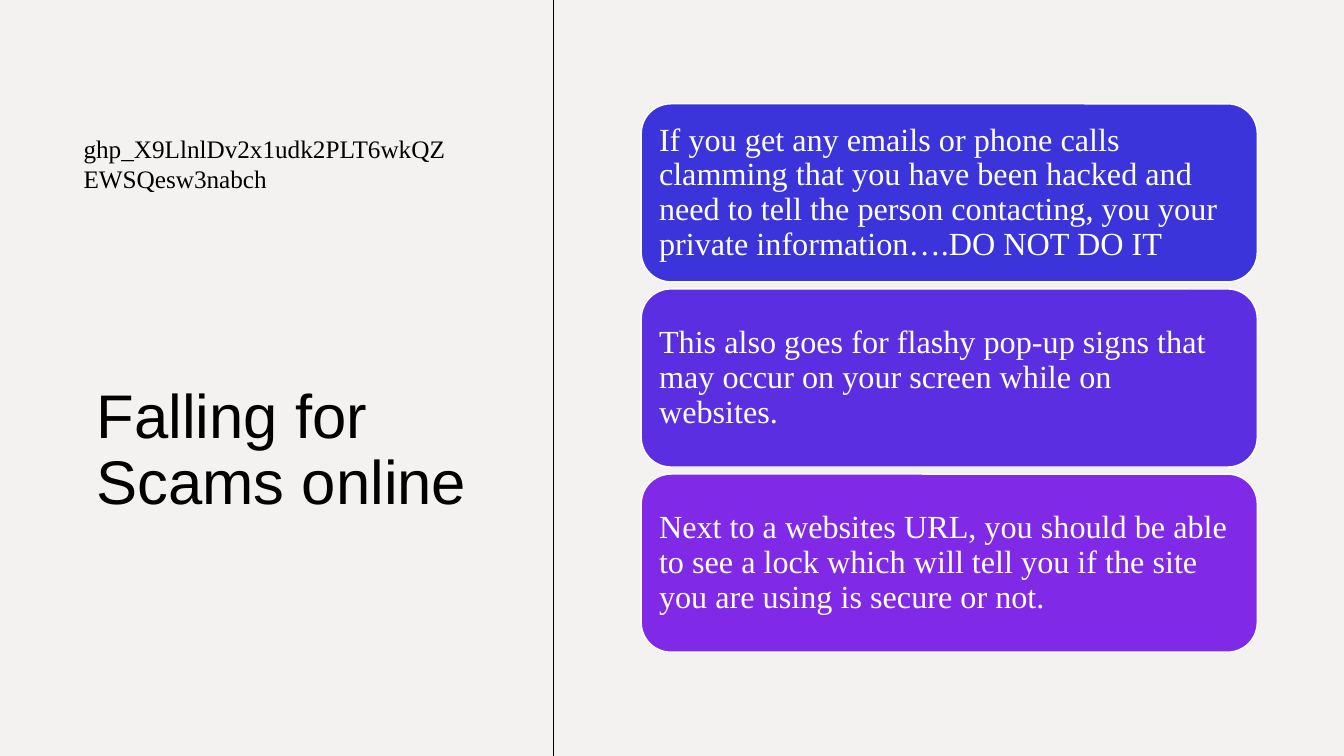
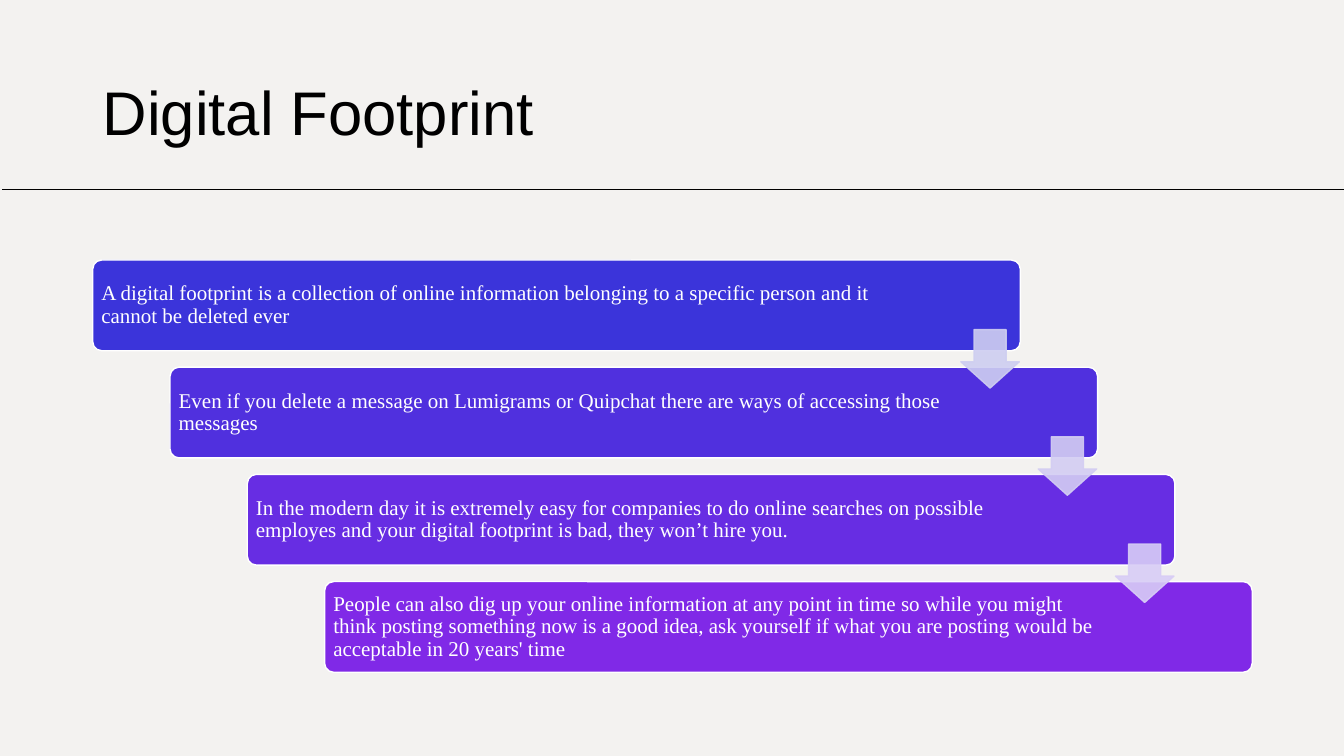
from lxml import etree
from pptx import Presentation
from pptx.dml.color import RGBColor
from pptx.enum.shapes import MSO_CONNECTOR, MSO_SHAPE
from pptx.enum.text import MSO_ANCHOR, PP_ALIGN
from pptx.oxml.ns import qn
from pptx.util import Inches, Pt

COLORS = {
    "background": "F3F2F0", "ink": "000000", "white": "FFFFFF",
    "blue": "3B34DA", "indigo": "5030DE", "iris": "5B2EE1",
    "violet": "672DE3", "purple": "8029E7",
    "arrow_blue": "CECEF1", "arrow_indigo": "D3CDF3", "arrow_violet": "D8CDF6",
}
HEADING, BODY = "Arial", "Times New Roman"

SCAM_TIPS = [
    ("If you get any emails or phone calls clamming that you have been hacked "
     "and need to tell the person contacting, you your private "
     "information….DO NOT DO IT", "blue"),
    ("This also goes for flashy pop-up signs that may occur on your screen "
     "while on websites.", "iris"),
    ("Next to a websites URL, you should be able to see a lock which will tell "
     "you if the site you are using is secure or not.", "purple"),
]
FOOTPRINT_STEPS = [
    ("A digital footprint is a collection of online information belonging to a "
     "specific person and it cannot be deleted ever", "blue"),
    ("Even if you delete a message on Lumigrams or Quipchat there are ways of "
     "accessing those messages", "indigo"),
    ("In the modern day it is extremely easy for companies to do online "
     "searches on possible employes and your digital footprint is bad, they "
     "won’t hire you.", "violet"),
    ("People can also dig up your online information at any point in time so "
     "while you might think posting something now is a good idea, ask yourself "
     "if what you are posting would be acceptable in 20 years' time", "purple"),
]
STEP_ARROWS = ["arrow_blue", "arrow_indigo", "arrow_violet"]


def rgb(name):
    return RGBColor.from_string(COLORS[name])


def write(sp, text, size, font=BODY, color="ink", anchor=MSO_ANCHOR.TOP,
          spacing=1.0, insets=(0.1, 0.05, 0.1, 0.05)):
    """Fill a shape with one formatted paragraph; insets: left, top, right, bottom."""
    tf = sp.text_frame
    tf.word_wrap = True
    tf.vertical_anchor = anchor
    tf.margin_left, tf.margin_top, tf.margin_right, tf.margin_bottom = map(Inches, insets)
    p = tf.paragraphs[0]
    p.alignment = PP_ALIGN.LEFT
    p.line_spacing = spacing
    r = p.add_run()
    r.text = text
    r.font.size, r.font.name = Pt(size), font
    r.font.color.rgb = rgb(color)


def add_text(slide, box, text, size, **fmt):
    write(slide.shapes.add_textbox(*map(Inches, box)), text, size, **fmt)


def add_title(slide, box, text):
    add_text(slide, box, text, 44, font=HEADING, anchor=MSO_ANCHOR.BOTTOM, spacing=0.9)


def add_rule(slide, *ends):
    line = slide.shapes.add_connector(MSO_CONNECTOR.STRAIGHT, *map(Inches, ends))
    line.line.color.rgb, line.line.width = rgb("ink"), Pt(0.5)
    etree.SubElement(line._element.spPr, qn("a:effectLst"))


def add_filled(slide, kind, box, fill, outline, adjustments=()):
    sp = slide.shapes.add_shape(kind, *map(Inches, box))
    sp.shadow.inherit = False
    for i, value in enumerate(adjustments):
        sp.adjustments[i] = value
    sp.fill.solid()
    sp.fill.fore_color.rgb = rgb(fill)
    sp.line.color.rgb, sp.line.width = rgb(outline), Pt(1)
    return sp


def add_card(slide, box, text, fill, size, insets, adjustments=()):
    sp = add_filled(slide, MSO_SHAPE.ROUNDED_RECTANGLE, box, fill, "white", adjustments)
    write(sp, text, size, color="white", anchor=MSO_ANCHOR.MIDDLE, spacing=0.9, insets=insets)


def add_step_arrow(slide, box, color):
    sp = add_filled(slide, MSO_SHAPE.DOWN_ARROW, box, color, color, (0.55, 0.45))
    for clr in sp._element.spPr.iter(qn("a:srgbClr")):
        etree.SubElement(clr, qn("a:alpha"), val="90000")


def add_card_stack(slide, box, cards, gap=0.07):
    """Equal cards, one under the other."""
    x, y, w, h = box
    card_h = (h - gap * (len(cards) - 1)) / len(cards)
    for i, (text, fill) in enumerate(cards):
        add_card(slide, (x, y + i * (card_h + gap), w, card_h), text, fill, 23,
                 (0.09, 0.1, 0.09, 0.1))


def add_staircase(slide, box, steps, arrows, step_w=9.2, step_h=0.9):
    """Cards stepping down to the right, with arrows between neighbours."""
    x, y, w, h = box
    dx = (w - step_w) / (len(steps) - 1)
    dy = (h - step_h) / (len(steps) - 1)
    for i, (text, fill) in enumerate(steps):
        add_card(slide, (x + i * dx, y + i * dy, step_w, step_h), text, fill, 15,
                 (0.06, 0.06, 1.42, 0.06), (0.1,))
    for i, color in enumerate(arrows):
        add_step_arrow(slide, (x + i * dx + 8.61, y + i * dy + 0.69, 0.58, 0.58), color)


def new_slide(prs):
    slide = prs.slides.add_slide(prs.slide_layouts[6])
    slide.background.fill.solid()
    slide.background.fill.fore_color.rgb = rgb("background")
    return slide


def scams_slide(prs):
    slide = new_slide(prs)
    add_title(slide, (0.86, 0.91, 4.2, 4.28), "Falling for Scams online")
    add_rule(slide, 5.49, 7.5, 5.49, 0)
    add_card_stack(slide, (6.36, 1.03, 6.11, 5.44), SCAM_TIPS)
    add_text(slide, (0.73, 1.27, 3.88, 0.71), "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", 18)


def footprint_slide(prs):
    slide = new_slide(prs)
    add_title(slide, (0.92, 0.4, 11.18, 1.13), "Digital Footprint")
    add_rule(slide, 13.33, 1.88, 0.02, 1.88)
    add_staircase(slide, (0.92, 2.58, 11.5, 4.09), FOOTPRINT_STEPS, STEP_ARROWS)


def main():
    prs = Presentation()
    prs.slide_width, prs.slide_height = Inches(13.33), Inches(7.5)
    scams_slide(prs)
    footprint_slide(prs)
    prs.save("out.pptx")


if __name__ == "__main__":
    main()
